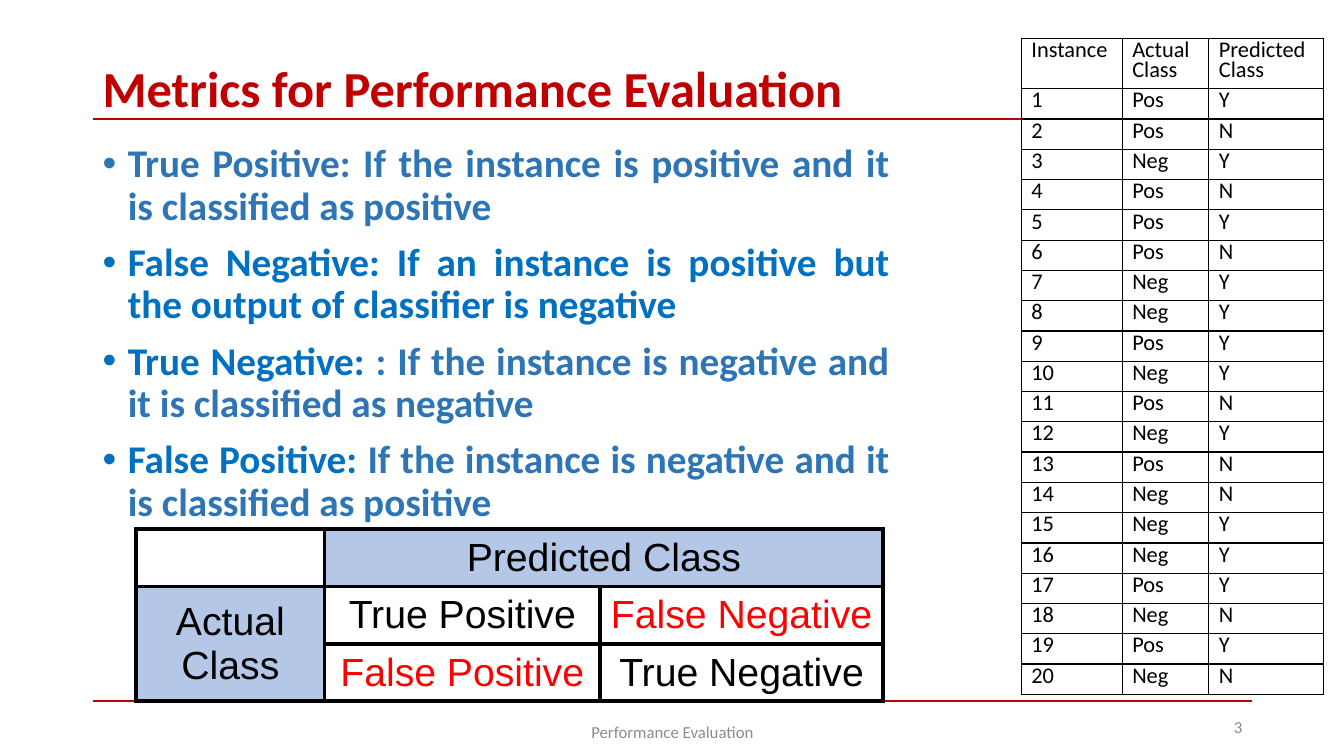
from dataclasses import dataclass
from typing import NamedTuple, Optional

from lxml import etree
from pptx import Presentation, util as u
from pptx.dml.color import RGBColor
from pptx.enum import shapes, text
from pptx.oxml import ns


@dataclass(frozen=True)
class Theme:
    red: str = "C00000"
    blue: str = "2E75B6"
    bright_blue: str = "0070C0"
    gray: str = "8C8C8C"
    black: str = "000000"
    error: str = "FF0000"
    header_fill: str = "B4C7E7"
    body_font: str = "Calibri"
    matrix_font: str = "Arial"
    title_size: int = 36
    body_size: int = 28
    table_size: int = 16
    footer_size: int = 12


T = Theme()
A = text.PP_ALIGN
MIDDLE = text.MSO_ANCHOR.MIDDLE


class Run(NamedTuple):
    text: str
    color: str


class Label(NamedTuple):
    left: float
    top: float
    width: float
    height: float
    text: str
    size: int
    color: str
    align: A
    bold: bool = False


class MatrixCell(NamedTuple):
    row: int
    col: int
    text: str
    color: str = T.black
    fill: Optional[str] = None
    last_row: Optional[int] = None
    last_col: Optional[int] = None


RULES = [1.18, 6.95]
LABELS = [
    Label(0.92, 0.61, 11.5, 0.58, "Metrics for Performance Evaluation",
          T.title_size, T.red, A.LEFT, True),
    Label(4.42, 7.06, 4.5, 0.4, "Performance Evaluation", T.footer_size, T.gray, A.CENTER),
    Label(9.42, 7.01, 3, 0.4, "3", T.footer_size, T.gray, A.RIGHT),
]
DEFINITIONS = [
    [Run("True Positive: If the instance is positive and it is classified as positive", T.blue)],
    [Run("False Negative: If an instance is positive but the output of classifier is negative",
         T.bright_blue)],
    [Run("True Negative: ", T.bright_blue),
     Run(": If the instance is negative and it is classified as negative", T.blue)],
    [Run("False Positive: ", T.bright_blue),
     Run("If the instance is negative and it is classified as positive", T.blue)],
]
MATRIX = [
    MatrixCell(0, 1, "Predicted Class", fill=T.header_fill, last_row=0, last_col=2),
    MatrixCell(1, 0, "Actual Class", fill=T.header_fill, last_row=2, last_col=0),
    MatrixCell(1, 1, "True Positive"),
    MatrixCell(1, 2, "False Negative", T.error),
    MatrixCell(2, 1, "False Positive", T.error),
    MatrixCell(2, 2, "True Negative"),
]
ACTUAL = "PPNPPPNNPNPNPNNNPNPN"
PREDICTED = "YNYNYNYYYYNYNNYYYNYN"
CLASS_NAMES = {"P": "Pos", "N": "Neg"}


def add_run(p, content: str, font: str, size: int, color: str, bold: bool = False) -> None:
    r = p.add_run()
    r.text = content
    r.font.name = font
    r.font.size = u.Pt(size)
    r.font.bold = bold
    r.font.color.rgb = RGBColor.from_string(color)


def add_rule(s, y: float) -> None:
    line = s.shapes.add_connector(shapes.MSO_CONNECTOR.STRAIGHT, u.Inches(0.92), u.Inches(y),
                                  u.Inches(12.42), u.Inches(y))
    line.line.color.rgb = RGBColor.from_string(T.red)
    line.line.width = u.Pt(1.5)
    etree.SubElement(line._element.spPr, ns.qn("a:effectLst"))


def add_text_frame(s, left: float, top: float, width: float, height: float):
    box = s.shapes.add_textbox(u.Inches(left), u.Inches(top), u.Inches(width), u.Inches(height))
    box.text_frame.word_wrap = True
    return box.text_frame


def add_label(s, label: Label) -> None:
    tf = add_text_frame(s, label.left, label.top, label.width, label.height)
    tf.vertical_anchor = MIDDLE
    p = tf.paragraphs[0]
    p.alignment = label.align
    p.line_spacing = 0.9 if label.bold else 1.0
    add_run(p, label.text, T.body_font, label.size, label.color, label.bold)


def add_definitions(s) -> None:
    tf = add_text_frame(s, 0.92, 1.38, 8, 5.37)
    for i, runs in enumerate(DEFINITIONS):
        p = tf.add_paragraph() if i else tf.paragraphs[0]
        pPr = p._p.get_or_add_pPr()
        pPr.set("marL", str(u.Inches(0.25)))
        pPr.set("indent", str(-u.Inches(0.25)))
        etree.SubElement(pPr, ns.qn("a:buFont"), typeface=T.matrix_font)
        etree.SubElement(pPr, ns.qn("a:buChar"), char="•")
        p.alignment = A.JUSTIFY
        p.line_spacing = 0.9
        p.space_before = u.Pt(10 if i else 0)
        for run in runs:
            add_run(p, run.text, T.body_font, T.body_size, run.color, True)


def set_borders(cell, width: float) -> None:
    tcPr = cell._tc.get_or_add_tcPr()
    for i, side in enumerate(("lnL", "lnR", "lnT", "lnB")):
        ln = etree.Element(ns.qn(f"a:{side}"), w=str(u.Pt(width)))
        fill = etree.SubElement(ln, ns.qn("a:solidFill"))
        etree.SubElement(fill, ns.qn("a:srgbClr"), val=T.black)
        tcPr.insert(i, ln)


def add_grid(s, left: float, top: float, cols: list[float], rows: list[float], border: float):
    """Add an unfilled table whose cells all have black borders."""
    frame = s.shapes.add_table(len(rows), len(cols), u.Inches(left), u.Inches(top),
                               u.Inches(sum(cols)), u.Inches(sum(rows)))
    table = frame.table
    table.first_row = table.horz_banding = False
    for col, width in zip(table.columns, cols):
        col.width = u.Inches(width)
    for row, height in zip(table.rows, rows):
        row.height = u.Inches(height)
    for cell in table.iter_cells():
        cell.fill.background()
        set_borders(cell, border)
    return table


def add_matrix(s) -> None:
    table = add_grid(s, 1.35, 5.25, [1.87, 2.73, 2.81], [0.53, 0.57, 0.57], 3)
    for item in MATRIX:
        cell = table.cell(item.row, item.col)
        if item.last_row is not None:
            cell.merge(table.cell(item.last_row, item.last_col))
        if item.fill:
            cell.fill.solid()
            cell.fill.fore_color.rgb = RGBColor.from_string(item.fill)
        cell.vertical_anchor = MIDDLE
        p = cell.text_frame.paragraphs[0]
        p.alignment = A.CENTER
        add_run(p, item.text, T.matrix_font, T.body_size, item.color)


def add_instances(s) -> None:
    records = [("Instance", "Actual Class", "Predicted Class")]
    for number, (actual, predicted) in enumerate(zip(ACTUAL, PREDICTED), 1):
        records.append((str(number), CLASS_NAMES[actual], predicted))
    table = add_grid(s, 10.13, 0.38, [1, 0.86, 1.14], [0.5] + [0.3] * len(ACTUAL), 1)
    for i, record in enumerate(records):
        for j, value in enumerate(record):
            p = table.cell(i, j).text_frame.paragraphs[0]
            p.line_spacing = u.Pt(14.4)
            add_run(p, value, T.body_font, T.table_size, T.black)


def main() -> None:
    prs = Presentation()
    prs.slide_width, prs.slide_height = u.Inches(13.33), u.Inches(7.5)
    s = prs.slides.add_slide(prs.slide_layouts[6])
    for y in RULES:
        add_rule(s, y)
    for label in LABELS:
        add_label(s, label)
    add_definitions(s)
    add_matrix(s)
    add_instances(s)
    prs.save("out.pptx")


if __name__ == "__main__":
    main()
